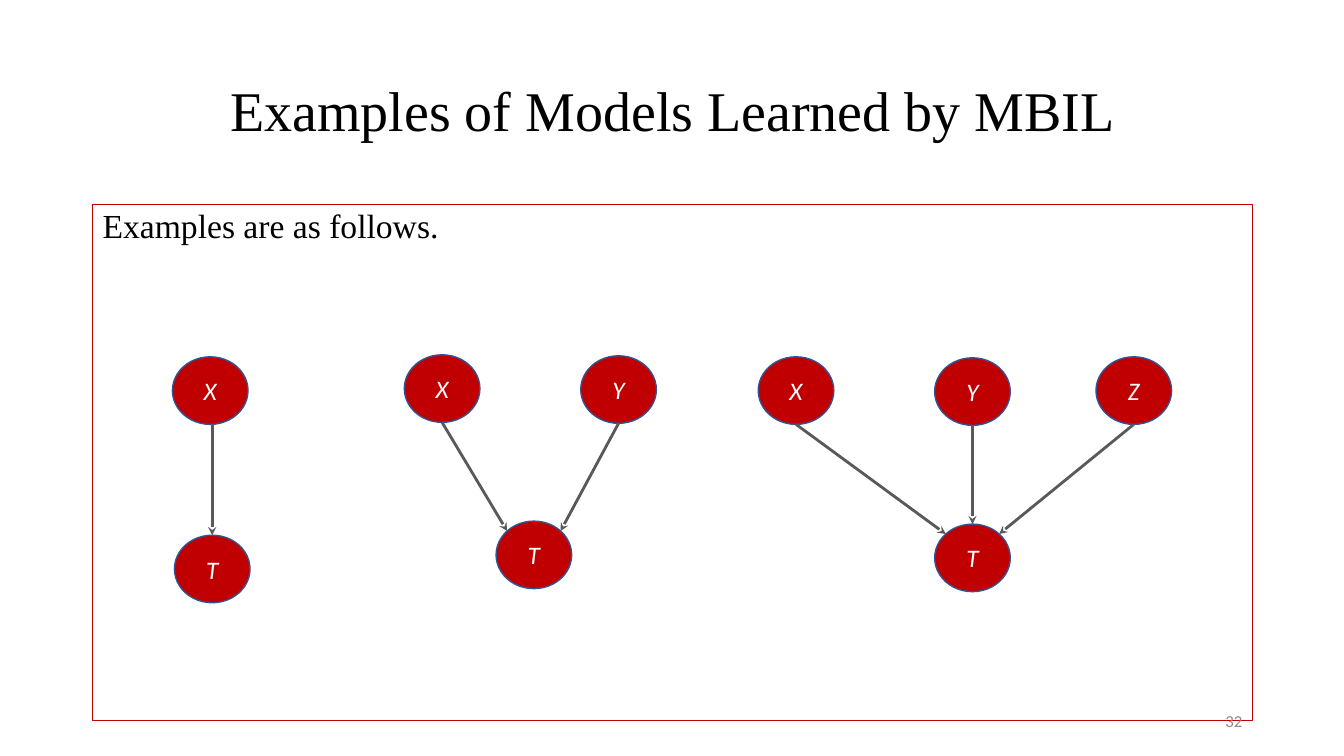
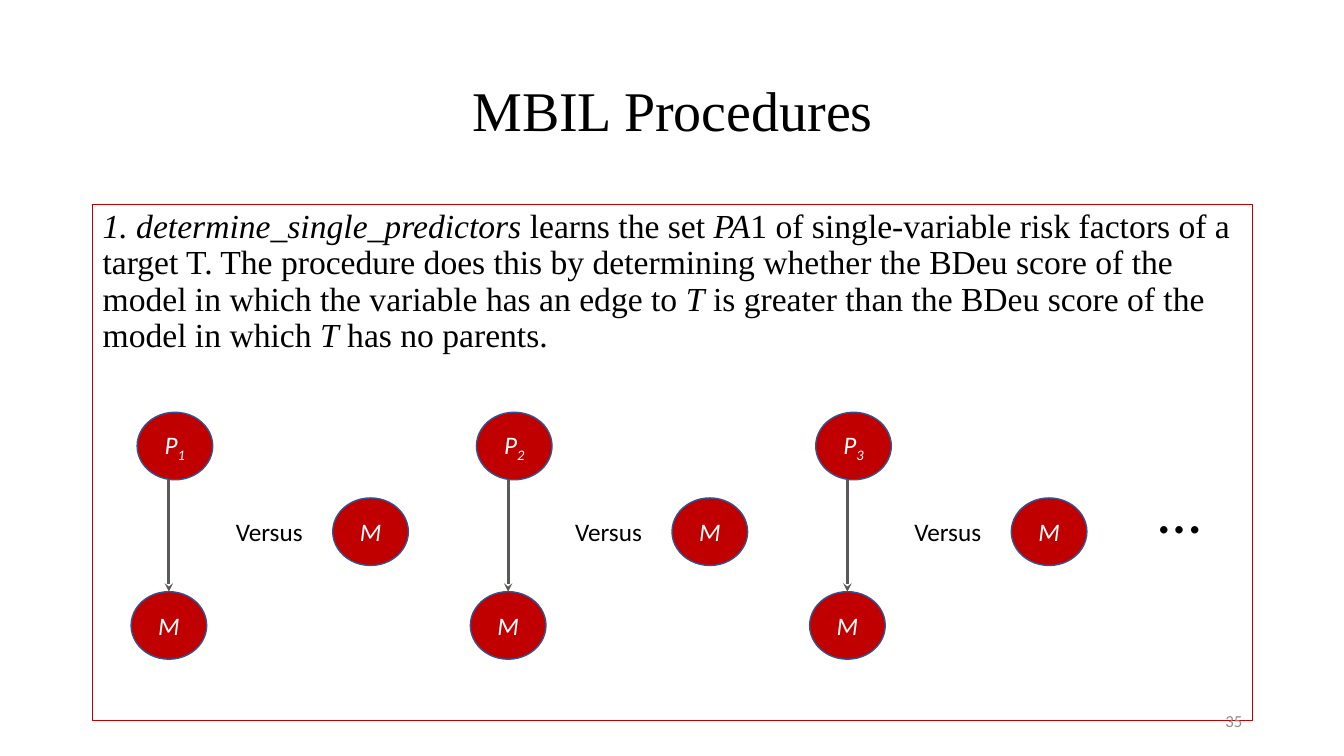
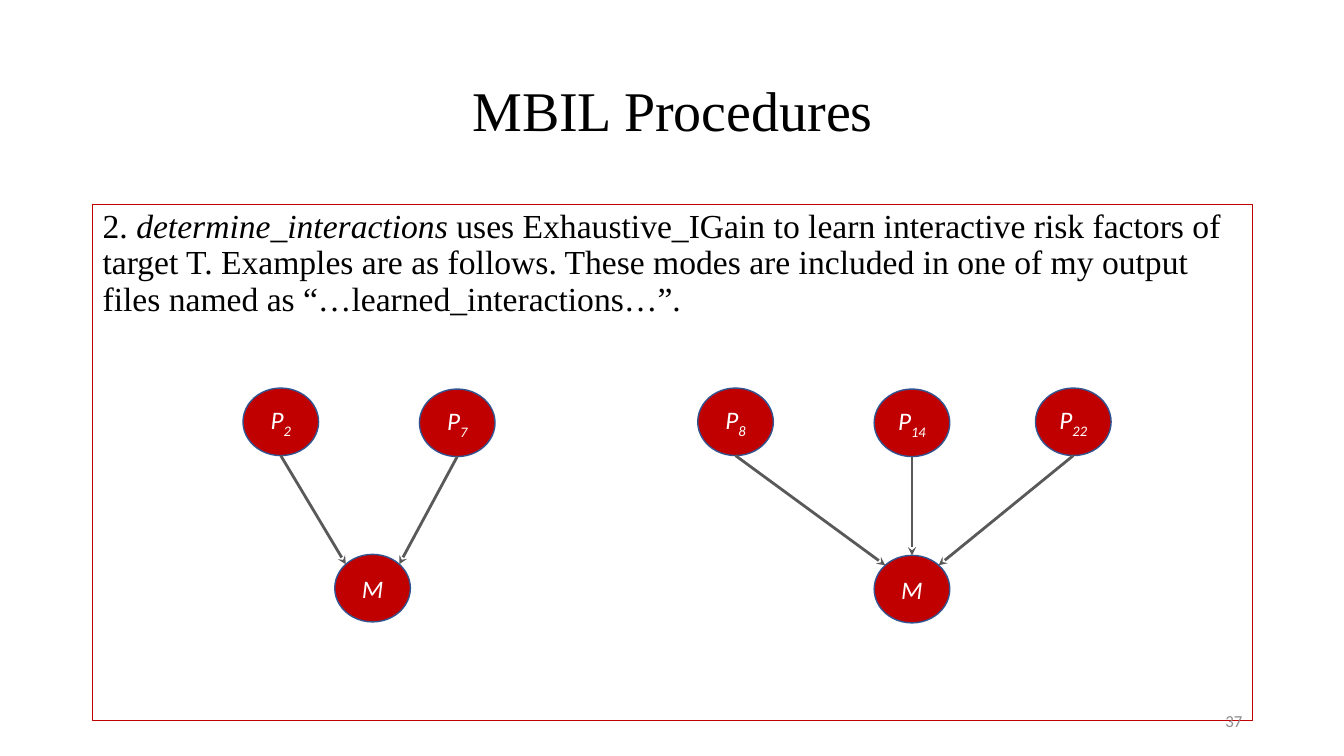
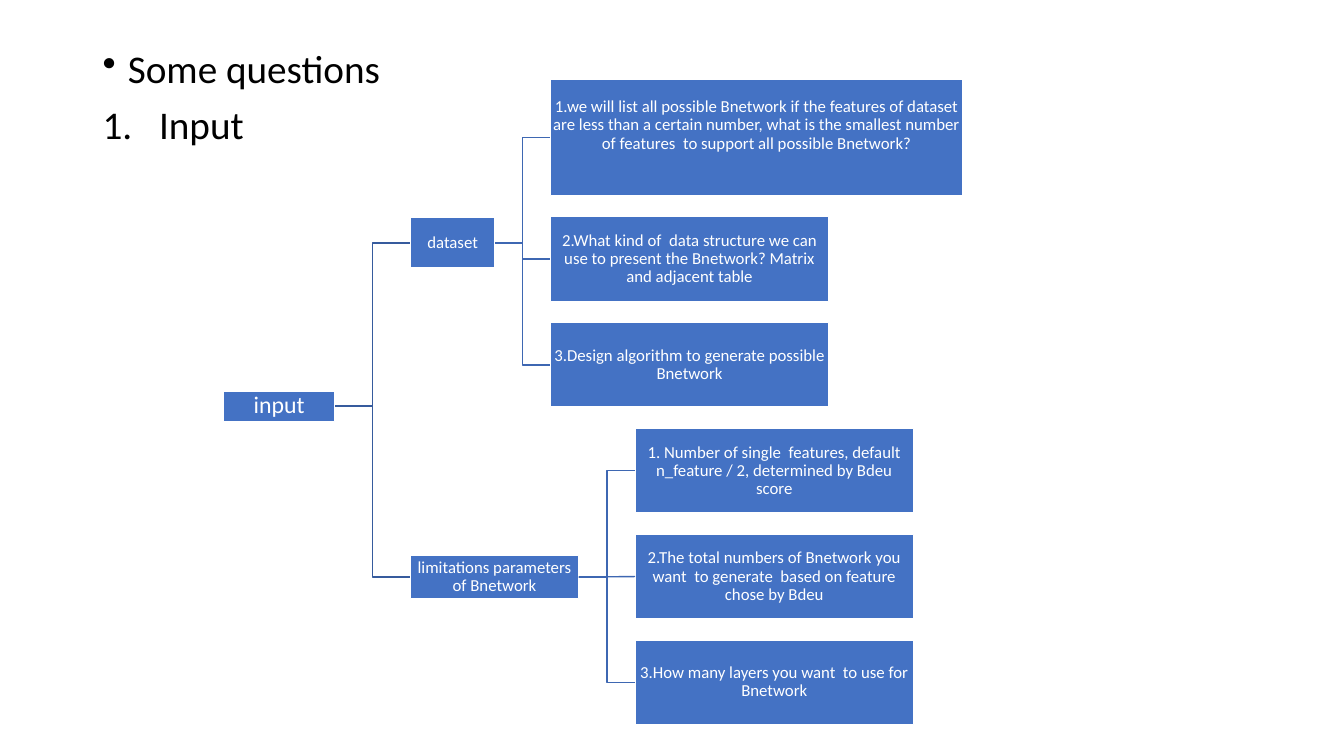
from lxml.etree import SubElement
from pptx import Presentation
from pptx.dml.color import RGBColor
from pptx.enum.shapes import MSO_CONNECTOR, MSO_SHAPE
from pptx.enum.text import MSO_ANCHOR, PP_ALIGN
from pptx.oxml.ns import qn
from pptx.util import Inches, Pt

HUES = {
    "ink": "000000", "paper": "FFFFFF", "red": "C00000", "rim": "325491",
    "arrow": "595959", "page": "8C8C8C", "blue": "4472C4",
    "stem": "365B9D", "twig": "3E67B2",
}
SERIF, SANS = "Times New Roman", "Calibri"
FONTS = {
    "title": {"name": SERIF, "size": Pt(40)},
    "body": {"name": SERIF, "size": Pt(24)},
    "page": {"name": SANS, "size": Pt(12)},
    "node": {"name": SANS, "size": Pt(18), "italic": True},
    "note": {"name": SANS, "size": Pt(18)},
    "dots": {"name": SANS, "size": Pt(44)},
    "list": {"name": SANS, "size": Pt(28)},
    "root": {"name": SANS, "size": Pt(17)},
    "leaf": {"name": SANS, "size": Pt(12)},
}
LEFT, WIDE = 0.92, 11.5
NODE_W, NODE_H = 0.75, 0.67
DIAG = 0.5 ** 0.5

# Places of parent nodes relative to their child
PAIR = [(-0.91, -1.65), (0.84, -1.64)]
TRIO = [(-1.75, -1.66), (0, -1.65), (1.6, -1.66)]


def rgb(hue):
    return RGBColor.from_string(HUES[hue])


def apply(item, values):
    for key, value in values.items():
        setattr(item, key, value)


class Deck:
    def __init__(self):
        self.prs = Presentation()
        apply(self.prs, {"slide_width": Inches(13.33), "slide_height": Inches(7.5)})
        self.slide = None

    def start(self, layout):
        self.slide = self.prs.slides.add_slide(self.prs.slide_layouts[layout])

    def run(self, para, text, font, hue="ink", **more):
        run = para.add_run()
        run.text = text
        apply(run.font, {**FONTS[font], **more})
        run.font.color.rgb = rgb(hue)
        return run

    def frame(self, shape, inset=None, **values):
        frame = shape.text_frame
        apply(frame, {"word_wrap": True, **values})
        if inset is not None:
            sides = ("left", "right", "top", "bottom")
            apply(frame, {f"margin_{side}": Inches(inset) for side in sides})
        return frame

    def shape(self, kind, at, fill, line, width):
        shape = self.slide.shapes.add_shape(kind, *map(Inches, at))
        shape.shadow.inherit = False
        if fill:
            shape.fill.solid()
            shape.fill.fore_color.rgb = rgb(fill)
        else:
            shape.fill.background()
        shape.line.color.rgb = rgb(line)
        shape.line.width = Pt(width)
        return shape

    def label(self, at, text, font, hue="ink", align=PP_ALIGN.LEFT, **values):
        box = self.slide.shapes.add_textbox(*map(Inches, at))
        para = self.frame(box, **values).paragraphs[0]
        para.alignment = align
        self.run(para, text, font, hue)

    def page(self, title, body, number):
        """Title, framed text with *italic* parts, and page number."""
        self.start(5)
        head = self.slide.shapes.title
        spots = zip(("left", "top", "width", "height"), (LEFT, 0.4, WIDE, 1.45))
        apply(head, {key: Inches(value) for key, value in spots})
        para = self.frame(head, vertical_anchor=MSO_ANCHOR.MIDDLE).paragraphs[0]
        apply(para, {"alignment": PP_ALIGN.CENTER, "line_spacing": 0.9})
        self.run(para, title, "title")

        panel = self.shape(MSO_SHAPE.RECTANGLE, (LEFT, 2.03, WIDE, 5.12), None, "red", 0.75)
        para = self.frame(panel, vertical_anchor=MSO_ANCHOR.TOP).paragraphs[0]
        apply(para, {"alignment": PP_ALIGN.LEFT, "line_spacing": 0.9})
        for i, part in enumerate(body.split("*")):
            if part:
                self.run(para, part, "body", italic=i % 2 == 1)
        self.label((9.42, 6.95, 3, 0.4), number, "page", "page", PP_ALIGN.RIGHT,
                   vertical_anchor=MSO_ANCHOR.MIDDLE)

    def node(self, text, x, y):
        """Oval; what follows an underscore is set as a subscript."""
        oval = self.shape(MSO_SHAPE.OVAL, (x, y, NODE_W, NODE_H), "red", "rim", 1)
        para = self.frame(oval, 0, word_wrap=False,
                          vertical_anchor=MSO_ANCHOR.MIDDLE).paragraphs[0]
        para.alignment = PP_ALIGN.CENTER
        base, _, sub = text.partition("_")
        self.run(para, base, "node", "paper")
        if sub:
            low = self.run(para, sub, "node", "paper")
            low._r.get_or_add_rPr().set("baseline", "-25000")

    def link(self, kind, ends, hue, width):
        line = self.slide.shapes.add_connector(kind, *map(Inches, ends))
        line.line.color.rgb = rgb(hue)
        line.line.width = Pt(width)
        SubElement(line._element.spPr, qn("a:effectLst"))
        return line

    def arrow(self, *ends):
        line = self.link(MSO_CONNECTOR.STRAIGHT, ends, "arrow", 2)
        SubElement(line.line._get_or_add_ln(), qn("a:tailEnd"), type="stealth")

    def model(self, child, x, y, names, places):
        """Child node with an arrow from each parent."""
        self.node(child, x, y)
        mid_x, mid_y = x + NODE_W / 2, y + NODE_H / 2
        for name, (dx, dy) in zip(names, places):
            self.node(name, x + dx, y + dy)
            foot = y + dy + NODE_H
            if abs(dx) < 0.1:
                self.arrow(mid_x, foot, mid_x, y)
            else:
                side = DIAG if dx > 0 else -DIAG
                self.arrow(mid_x + dx, foot, mid_x + side * NODE_W / 2,
                           mid_y - DIAG * NODE_H / 2)

    def list(self, at, items):
        box = self.slide.shapes.add_textbox(*map(Inches, at))
        frame = self.frame(box)
        for i, (text, dent, tag, mark) in enumerate(items):
            para = frame.add_paragraph() if i else frame.paragraphs[0]
            apply(para, {"line_spacing": 0.9, "space_before": Pt(10 if i else 0)})
            self.run(para, text, "list")
            props = para._p.get_or_add_pPr()
            props.set("marL", str(Inches(dent)))
            props.set("indent", str(-Inches(dent)))
            SubElement(props, qn(tag), **mark)

    def box(self, text, at, font="leaf", lift=0.01):
        box = self.shape(MSO_SHAPE.RECTANGLE, at, "blue", "paper", 1)
        frame = self.frame(box, 0.01, vertical_anchor=MSO_ANCHOR.MIDDLE)
        frame.margin_bottom = Inches(lift)
        para = frame.paragraphs[0]
        apply(para, {"alignment": PP_ALIGN.CENTER, "line_spacing": 0.9})
        self.run(para, text, font, "paper")
        return box

    def branch(self, start, end, hue):
        gap = abs(start.top + start.height / 2 - end.top - end.height / 2)
        flat = gap < Inches(0.02)
        kind = MSO_CONNECTOR.STRAIGHT if flat else MSO_CONNECTOR.ELBOW
        line = self.link(kind, (0, 0, 1, 1), hue, 1)
        line.begin_connect(start, 3)
        line.end_connect(end, 1)


def main():
    deck = Deck()

    # Learned models
    deck.page("Examples of Models Learned by MBIL", "Examples are as follows.", "32")
    deck.model("T", 4.92, 5.17, "XY", PAIR)
    deck.model("T", 9.27, 5.2, "XYZ", TRIO)
    deck.model("T", 1.73, 5.31, "X", [(-0.02, -1.77)])

    # Single predictors
    deck.page(
        "MBIL Procedures",
        "*1. determine_single_predictors *learns the set *PA*1 of single-variable risk "
        "factors of a target T. The procedure does this by determining whether the BDeu "
        "score of the model in which the variable has an edge to *T* is greater than the "
        "BDeu score of the model in which *T* has no parents.", "35")
    for i in range(3):
        x, y = 1.3 + 3.365 * i, 5.87
        deck.model("M", x, y, [f"P_{i + 1}"], [(0.06, -1.78)])
        deck.node("M", x + 2, y - 0.93)
        deck.label((x + 0.94, y - 0.8, 0.87, 0.4), "Versus", "note", word_wrap=False)
    deck.label((11.39, 4.63, 0.63, 0.84), "…", "dots", word_wrap=False)

    # Interactions
    deck.page(
        "MBIL Procedures",
        "2. *determine_interactions* uses Exhaustive_IGain to learn interactive risk "
        "factors of target T. Examples are as follows. These modes are included in one "
        "of my output files named as “…learned_interactions…”.", "37")
    deck.model("M", 3.32, 5.5, ["P_2", "P_7"], PAIR)
    deck.model("M", 8.67, 5.51, ["P_8", "P_14", "P_22"], TRIO)

    # Question tree
    deck.start(6)
    deck.list((LEFT, 0.44, WIDE, 6.31), [
        ("Some questions", 0.25, "a:buChar", {"char": "•"}),
        ("Input", 0.56, "a:buAutoNum", {"type": "arabicPeriod"}),
    ])
    root = deck.box("input", (2.22, 3.88, 1.1, 0.3), "root")
    tree = [
        ("dataset", (4.07, 2.16, 0.84, 0.5), 5.46, [
            ("1.we will list all possible Bnetwork if the features of dataset are less "
             "than a certain number, what is the smallest number of features  to support "
             "all possible Bnetwork?", 4.09, 1.15, 0.25),
            ("2.What kind of  data structure we can use to present the Bnetwork? Matrix "
             "and adjacent table", 2.76, 0.84, 0.01),
            ("3.Design algorithm to generate possible Bnetwork", 2.76, 0.84, 0.01),
        ]),
        ("limitations parameters of Bnetwork", (4.07, 5.51, 1.67, 0.43), 6.3, [
            ("1. Number of single  features, default n_feature / 2, determined by Bdeu "
             "score", 2.76, 0.84, 0.01),
            ("2.The total numbers of Bnetwork you want  to generate  based on feature "
             "chose by Bdeu", 2.76, 0.84, 0.01),
            ("3.How many layers you want  to use for Bnetwork", 2.76, 0.84, 0.01),
        ]),
    ]
    top = 0.79
    for name, at, left, leaves in tree:
        stem = deck.box(name, at)
        deck.branch(root, stem, "stem")
        for text, wide, high, lift in leaves:
            leaf = deck.box(text, (left, top, wide, high), lift=lift)
            deck.branch(stem, leaf, "twig")
            top += high + 0.21

    deck.prs.save("out.pptx")


if __name__ == "__main__":
    main()
